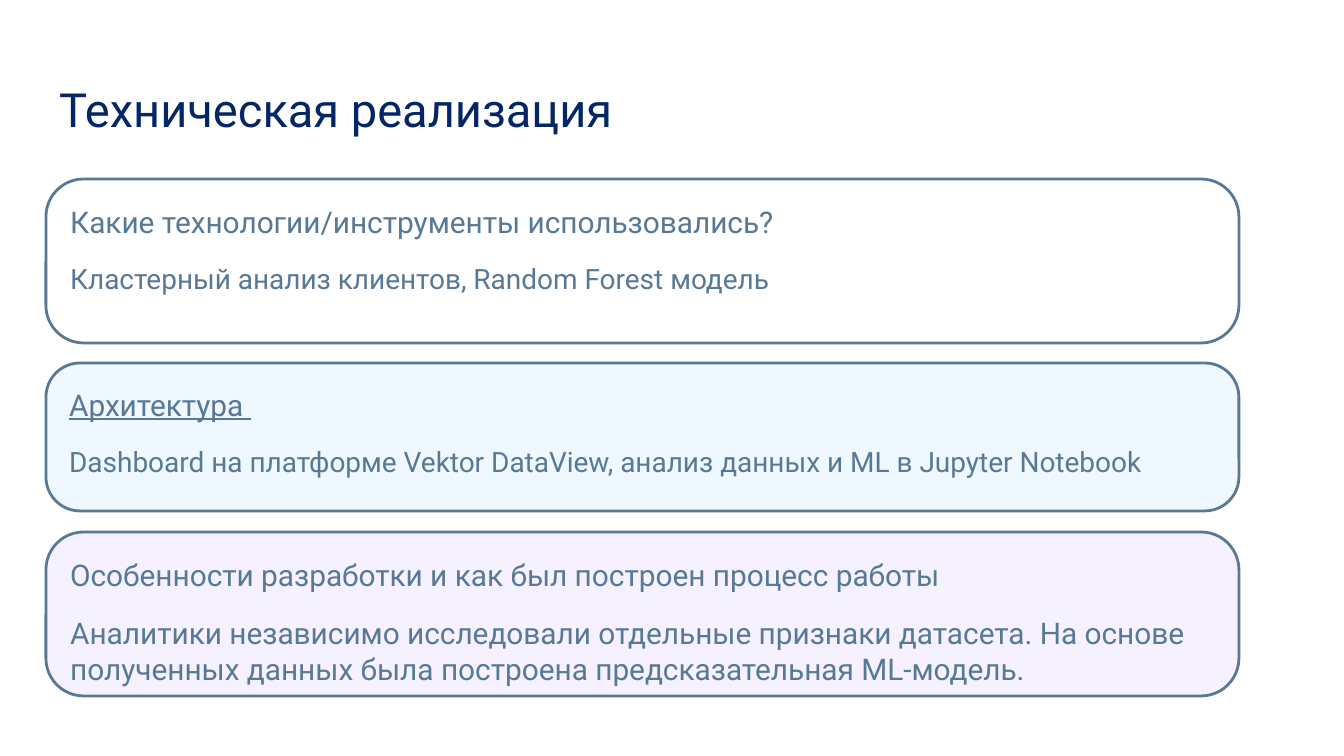
from pptx import Presentation
from pptx import util as u
from pptx.dml.color import RGBColor
from pptx.enum import shapes, text

PX = 914400 / 134.4
FONT = "Roboto"
COLORS = {
    "title": "022666",
    "slate": "587996",
    "blue": "EFF7FF",
    "violet": "F5F1FF",
}


def px(*lengths):
    return [u.Emu(round(length * PX)) for length in lengths]


def style(paragraph, size, color):
    font = paragraph.runs[0].font
    font.name = FONT
    font.size = u.Pt(size)
    font.color.rgb = RGBColor.from_string(COLORS[color])


presentation = Presentation()
presentation.slide_width, presentation.slide_height = px(1344, 756)
slide = presentation.slides.add_slide(presentation.slide_layouts[6])

# Title
title = slide.shapes.add_textbox(*px(46, 66, 1253, 85))
frame = title.text_frame
frame.word_wrap = True
frame.vertical_anchor = text.MSO_ANCHOR.MIDDLE
frame.margin_left = frame.margin_right = frame.margin_top = frame.margin_bottom = u.Inches(0.1)
frame.text = "Техническая реализация"
style(frame.paragraphs[0], 25.2, "title")

# Cards: top, height, fill, heading, underlined heading, body, body size
cards = [
    (179, 164, None, "Какие технологии/инструменты использовались?", False,
     "Кластерный анализ клиентов, Random Forest модель", 15),
    (363, 148, "blue", "Архитектура ", True,
     "Dashboard на платформе Vektor DataView, анализ данных и ML в Jupyter Notebook", 15),
    (532, 164, "violet", "Особенности разработки и как был построен процесс работы", False,
     "Аналитики независимо исследовали отдельные признаки датасета. "
     "На основе полученных данных была построена предсказательная ML-модель.", 16),
]
for top, height, fill, heading, underlined, body, body_size in cards:
    card = slide.shapes.add_shape(
        shapes.MSO_SHAPE.ROUNDED_RECTANGLE, *px(46, top, 1193, height))
    card.adjustments[0] = 0.23
    card.shadow.inherit = False
    if fill:
        card.fill.solid()
        card.fill.fore_color.rgb = RGBColor.from_string(COLORS[fill])
    else:
        card.fill.background()
    card.line.color.rgb = RGBColor.from_string(COLORS["slate"])
    card.line.width = u.Pt(1.5)

    frame = card.text_frame
    frame.word_wrap = True
    frame.vertical_anchor = text.MSO_ANCHOR.TOP
    frame.margin_left = frame.margin_right = frame.margin_top = frame.margin_bottom = u.Inches(0.1)
    frame.text = f"{heading}\n{body}"
    for paragraph, size in zip(frame.paragraphs, (16, body_size)):
        paragraph.alignment = text.PP_ALIGN.LEFT
        style(paragraph, size, "slate")
    heading_paragraph, body_paragraph = frame.paragraphs
    if underlined:
        heading_paragraph.runs[0].font.underline = True
    body_paragraph.space_before = body_paragraph.space_after = u.Pt(12)

presentation.save("out.pptx")
